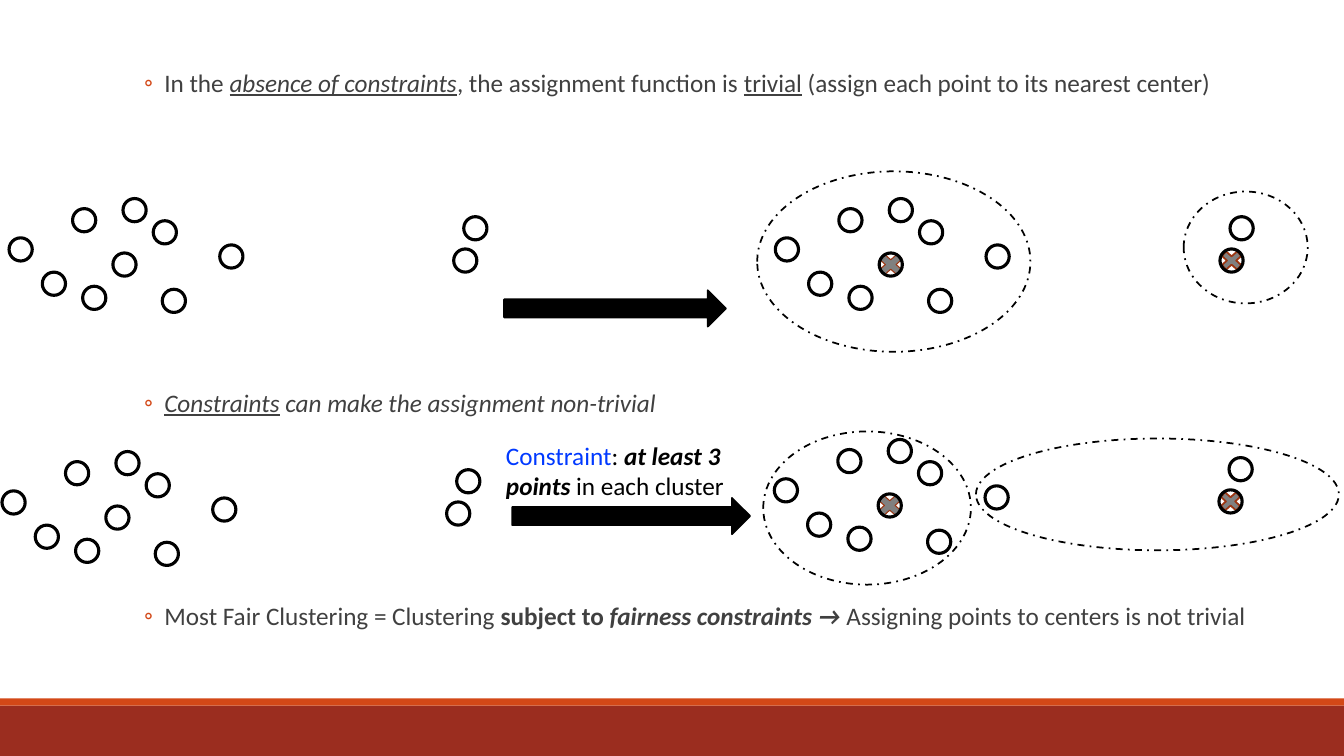
from lxml import etree
from pptx import Presentation
from pptx.dml.color import RGBColor
from pptx.enum.dml import MSO_LINE
from pptx.enum.shapes import MSO_SHAPE
from pptx.enum.text import MSO_ANCHOR, MSO_AUTO_SIZE, PP_ALIGN
from pptx.oxml.ns import qn
from pptx.util import Inches, Pt

RECT, OVAL = MSO_SHAPE.RECTANGLE, MSO_SHAPE.OVAL
ARROW, CROSS = MSO_SHAPE.RIGHT_ARROW, MSO_SHAPE.MATH_MULTIPLY
DASH = MSO_LINE.DASH_DOT
COLORS = {"band": "9B2D1F", "accent": "D34817", "text": "404040",
          "ink": "000000", "blue": "0039FF", "cross": "808080",
          "edge": "9C3511"}
FONT = "Calibri"
DOT = 0.23

# Points of the data set, relative to its top left corner
POINTS = [(0, 0.39), (1.43, 0.22), (1.13, 0), (1.03, 0.54), (0.33, 0.73),
          (0.63, 0.1), (0.73, 0.87), (2.09, 0.46), (1.52, 0.9),
          (4.51, 0.18), (4.41, 0.5)]
# Index of each center, with the size and line width of its cross
CENTERS = [(3, 0.34, 0.3, 0.75), (10, 0.29, 0.26, 1.25)]

# Each bullet: space before, then runs of text and style letters
BULLETS = [
    (0, [("In the ", ""), ("absence of constraints", "iu"),
         (", the assignment function is ", ""), ("trivial", "u"),
         (" (assign each point to its nearest center)", "")]),
    (205, [("Constraints", "iu"),
           (" can make the assignment non-trivial", "i")]),
    (129, [("Most Fair Clustering = Clustering ", ""), ("subject to ", "b"),
           ("fairness constraints → ", "bi"),
           ("Assigning points to centers is not trivial", "")]),
]


def rgb(name):
    return RGBColor.from_string(COLORS[name])


def add_part(slide, kind, box, fill=None, line=None, width=1.25, dash=None):
    part = slide.shapes.add_shape(kind, *[Inches(v) for v in box])
    part.shadow.inherit = False
    if fill:
        part.fill.solid()
        part.fill.fore_color.rgb = rgb(fill)
    else:
        part.fill.background()
    if line:
        part.line.color.rgb = rgb(line)
        part.line.width = Pt(width)
        if dash:
            part.line.dash_style = dash
    else:
        part.line.fill.background()


def add_run(para, text, style, color):
    """Add a run; style holds b, i and u for bold, italic and underlined."""
    run = para.add_run()
    run.text = text
    font = run.font
    font.name, font.size = FONT, Pt(18)
    font.bold, font.italic = "b" in style, "i" in style
    font.underline = "u" in style
    font.color.rgb = rgb(color)


def set_bullet(para):
    props = para._p.get_or_add_pPr()
    props.set("marL", str(Inches(0.42)))
    props.set("indent", str(Inches(-0.2)))
    tint = etree.SubElement(props, qn("a:buClr"))
    etree.SubElement(tint, qn("a:srgbClr"), val=COLORS["accent"])
    etree.SubElement(props, qn("a:buFont"), typeface=FONT)
    etree.SubElement(props, qn("a:buChar"), char="◦")


def add_body(slide, box):
    body = slide.placeholders[1]
    body.left, body.top, body.width, body.height = [Inches(v) for v in box]
    frame = body.text_frame
    frame.word_wrap = True
    frame.auto_size = MSO_AUTO_SIZE.NONE
    frame.vertical_anchor = MSO_ANCHOR.TOP
    frame.margin_left = frame.margin_right = 0
    for n, (gap, runs) in enumerate(BULLETS):
        para = frame.add_paragraph() if n else frame.paragraphs[0]
        para.level = 1
        set_bullet(para)
        para.alignment = PP_ALIGN.LEFT
        para.line_spacing = 0.9
        para.space_before, para.space_after = Pt(gap), Pt(4)
        for text, style in runs:
            add_run(para, text, style, "text")


def add_points(slide, left, top, centers=()):
    """Draw the data set from its corner, with a cross on each center."""
    for n, wide, high, width in centers:
        x, y = POINTS[n]
        box = (left + x + (DOT - wide) / 2, top + y + (DOT - high) / 2,
               wide, high)
        add_part(slide, CROSS, box, "cross", "edge", width)
    for x, y in POINTS:
        add_part(slide, OVAL, (left + x, top + y, DOT, DOT),
                 line="ink", width=2.25)


def add_case(slide, start, end, arrow, groups):
    """Draw points before and after assignment, and the clusters found."""
    add_points(slide, *start)
    add_part(slide, ARROW, arrow, "ink", "ink")
    add_points(slide, *end, CENTERS)
    for box in groups:
        add_part(slide, OVAL, box, line="ink", dash=DASH)


def add_label(slide, box):
    frame = slide.shapes.add_textbox(*[Inches(v) for v in box]).text_frame
    frame.word_wrap = True
    para = frame.paragraphs[0]
    add_run(para, "Constraint", "", "blue")
    add_run(para, ": ", "", "ink")
    add_run(para, "at least 3 points ", "bi", "ink")
    add_run(para, "in each cluster", "", "ink")


def add_footer(slide, left, top, width, height):
    strip = 0.07
    add_part(slide, RECT, (left, top + strip, width, height - strip), "band")
    add_part(slide, RECT, (left, top, width, strip), "accent")


def main():
    deck = Presentation()
    deck.slide_width, deck.slide_height = Inches(13.33), Inches(7.5)
    slide = deck.slides.add_slide(deck.slide_layouts[1])
    title = slide.shapes.title._element
    title.getparent().remove(title)
    add_footer(slide, 0, 6.93, 13.33, 0.57)
    add_body(slide, (1.21, 0.65, 11.5, 5.85))
    add_case(slide, (0.09, 1.97), (7.69, 1.97), (5, 2.88, 2.2, 0.36),
             [(11.74, 1.9, 1.23, 1.11), (7.51, 1.7, 2.71, 1.79)])
    add_label(slide, (4.92, 4.32, 2.81, 1.01))
    add_case(slide, (0.02, 4.48), (7.68, 4.36), (5.08, 4.94, 2.36, 0.36),
             [(9.68, 4.35, 3.6, 1.11), (7.57, 4.28, 2.06, 1.52)])
    deck.save("out.pptx")


if __name__ == "__main__":
    main()
